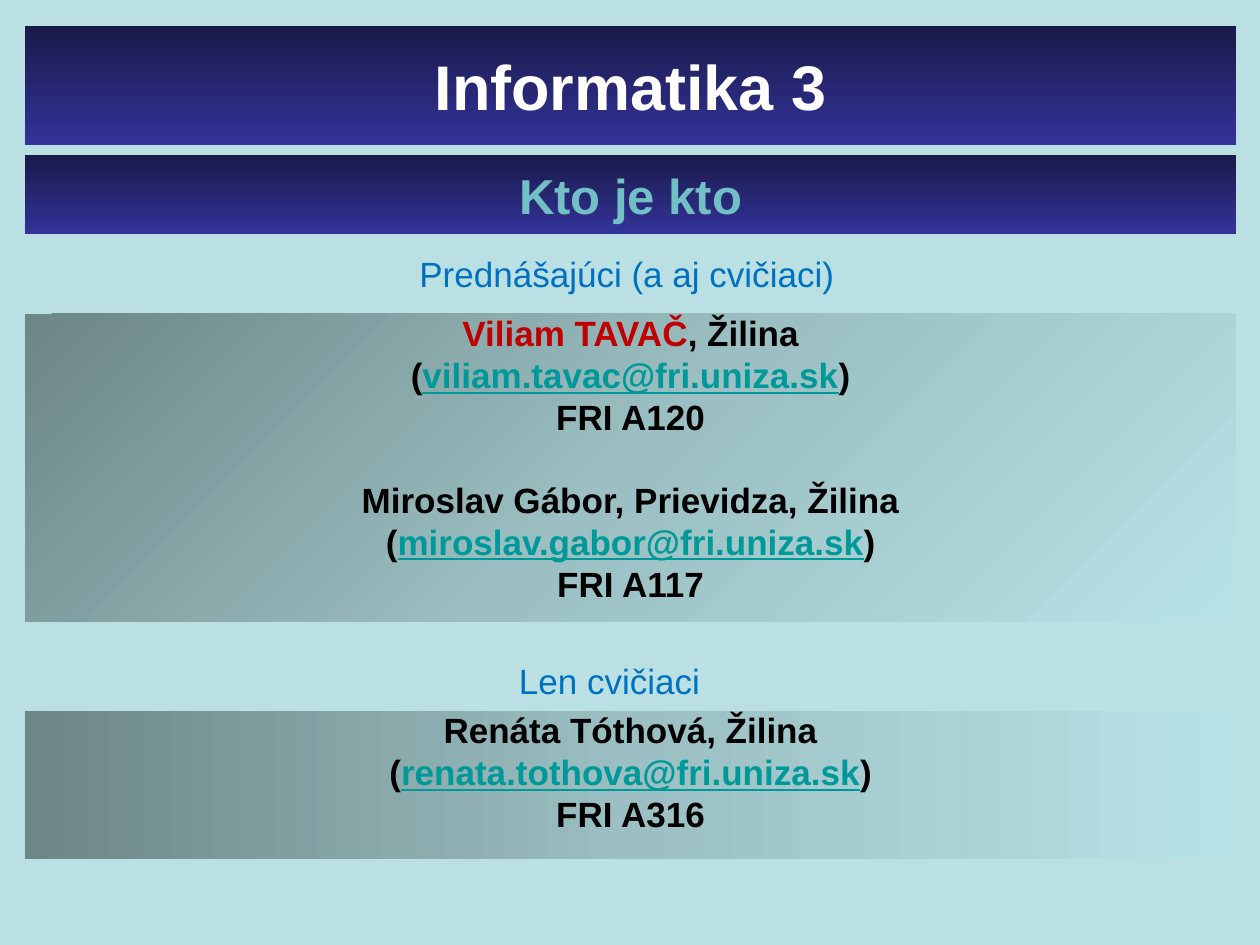
from copy import deepcopy

from pptx import Presentation
from pptx.dml.color import RGBColor
from pptx.enum.shapes import MSO_SHAPE as Shape
from pptx.enum.text import MSO_ANCHOR as Anchor, PP_ALIGN as Align
from pptx.oxml.ns import qn
from pptx.util import Inches, Pt

BACKGROUND = RGBColor(0xBB, 0xE0, 0xE3)
NAVY = RGBColor(0x1A, 0x1A, 0x4A)
INDIGO = RGBColor(0x33, 0x33, 0x99)
SLATE = RGBColor(0x6D, 0x86, 0x88)
TEAL = RGBColor(0x9B, 0xBF, 0xC2)
PALE = RGBColor(0xB8, 0xE3, 0xE6)
AQUA = RGBColor(0x72, 0xBF, 0xC5)
WHITE = RGBColor(0xFF, 0xFF, 0xFF)
BLACK = RGBColor(0x00, 0x00, 0x00)
RED = RGBColor(0xC0, 0x00, 0x00)
BLUE = RGBColor(0x00, 0x70, 0xC0)
LINK = RGBColor(0x00, 0x99, 0x99)

LEFT, WIDTH = 0.2, 9.61
LINE_GAP, PERSON_GAP = 4.8, 28

LECTURERS = [
    ("Viliam TAVAČ", RED, ", Žilina", "viliam.tavac@fri.uniza.sk", "FRI A120"),
    ("Miroslav Gábor", BLACK, ", Prievidza, Žilina", "miroslav.gabor@fri.uniza.sk", "FRI A117"),
]
INSTRUCTORS = [
    ("Renáta Tóthová", BLACK, ", Žilina", "renata.tothova@fri.uniza.sk", "FRI A316"),
]


def add_span(para, text, color, **formats):
    span = para.add_run()
    span.text = text
    span.font.color.rgb = color
    for name, value in {"name": "Arial", **formats}.items():
        setattr(span.font, name, value)


def add_band(page, top, height, colors, angle):
    band = page.shapes.add_shape(
        Shape.RECTANGLE, Inches(LEFT), Inches(top), Inches(WIDTH), Inches(height))
    band.shadow.inherit = False
    band.line.fill.background()
    band.fill.gradient()
    band.fill.gradient_angle = -angle % 360
    stop_list = band.element.spPr.find(qn("a:gradFill")).find(qn("a:gsLst"))
    for _ in colors[2:]:
        stop_list.append(deepcopy(stop_list[0]))
    for index, (stop, color) in enumerate(zip(band.fill.gradient_stops, colors)):
        stop.color.rgb = color
        stop.position = index / (len(colors) - 1)
    band.text_frame.word_wrap = True
    return band.text_frame


def add_heading(page, top, height, text, size, color):
    frame = add_band(page, top, height, (NAVY, INDIGO), 90)
    frame.vertical_anchor = Anchor.MIDDLE
    para = frame.paragraphs[0]
    para.alignment = Align.CENTER
    add_span(para, text, color, size=Pt(size), bold=True)


def add_people(page, top, height, angle, people):
    frame = add_band(page, top, height, (SLATE, TEAL, PALE), angle)
    frame.vertical_anchor = Anchor.TOP
    bold = {"size": Pt(20), "bold": True}
    for number, (person, color, towns, email, room) in enumerate(people):
        lines = [
            [(person, color, {}), (towns, BLACK, {})],
            [("(", BLACK, {}), (email, LINK, {"underline": True}), (")", BLACK, {})],
            [(room, BLACK, {})],
        ]
        for row, spans in enumerate(lines):
            first = number == 0 and row == 0
            para = frame.paragraphs[0] if first else frame.add_paragraph()
            para.alignment = Align.CENTER
            para.line_spacing = 0.8
            if not first:
                para.space_before = Pt(LINE_GAP if row else PERSON_GAP)
            for text, shade, formats in spans:
                add_span(para, text, shade, **bold, **formats)


def add_label(page, left, top, width, text):
    box = page.shapes.add_textbox(Inches(left), Inches(top), Inches(width), Inches(0.37))
    box.text_frame.word_wrap = False
    para = box.text_frame.paragraphs[0]
    para.line_spacing = 0.8
    add_span(para, text, BLUE, size=Pt(20))


def main():
    deck = Presentation()
    deck.slide_width, deck.slide_height = Inches(10), Inches(7.5)
    page = deck.slides.add_slide(deck.slide_layouts[6])
    page.background.fill.solid()
    page.background.fill.fore_color.rgb = BACKGROUND

    add_heading(page, 0.21, 0.94, "Informatika 3", 36, WHITE)
    add_heading(page, 1.23, 0.63, "Kto je kto", 28, AQUA)
    add_label(page, 3.23, 2.02, 3.54, "Prednášajúci (a aj cvičiaci)")
    add_people(page, 2.49, 2.44, 45, LECTURERS)
    add_label(page, 4.02, 5.25, 1.65, "Len cvičiaci")
    add_people(page, 5.64, 1.18, 0, INSTRUCTORS)
    deck.save("out.pptx")


if __name__ == "__main__":
    main()
